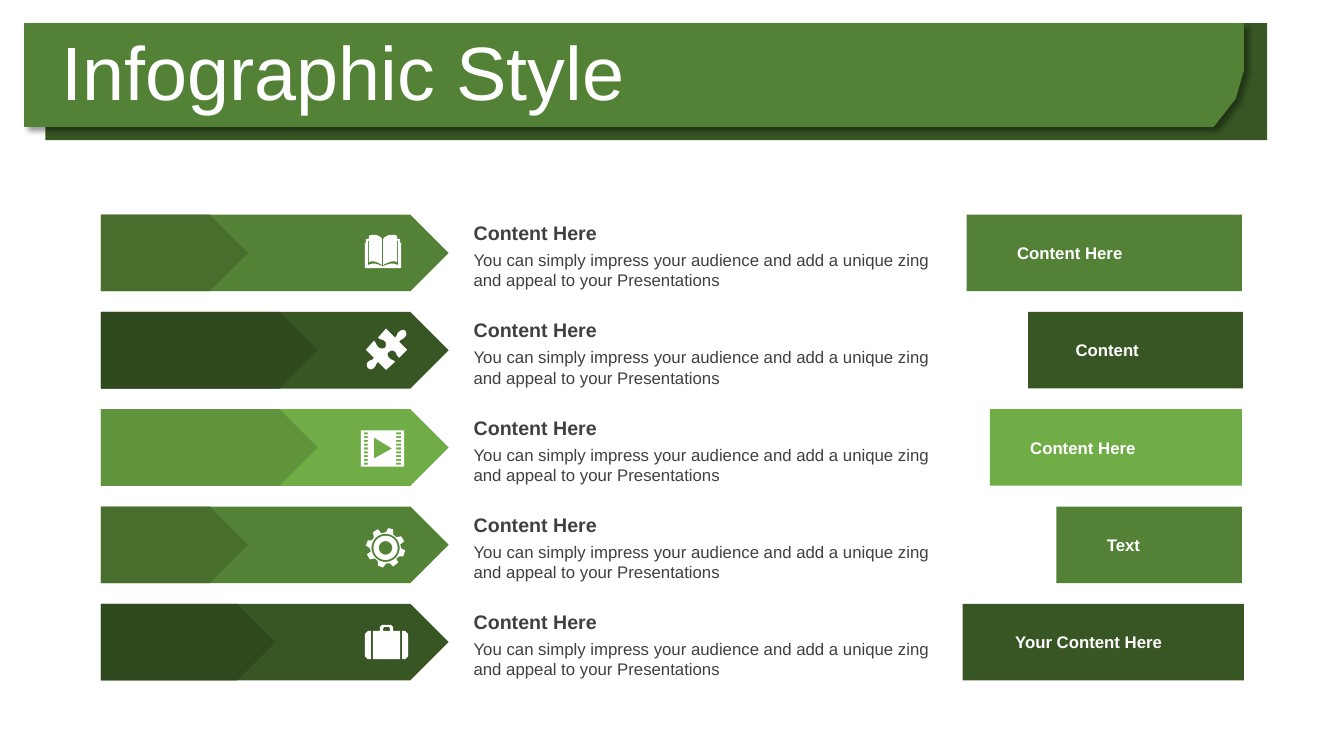
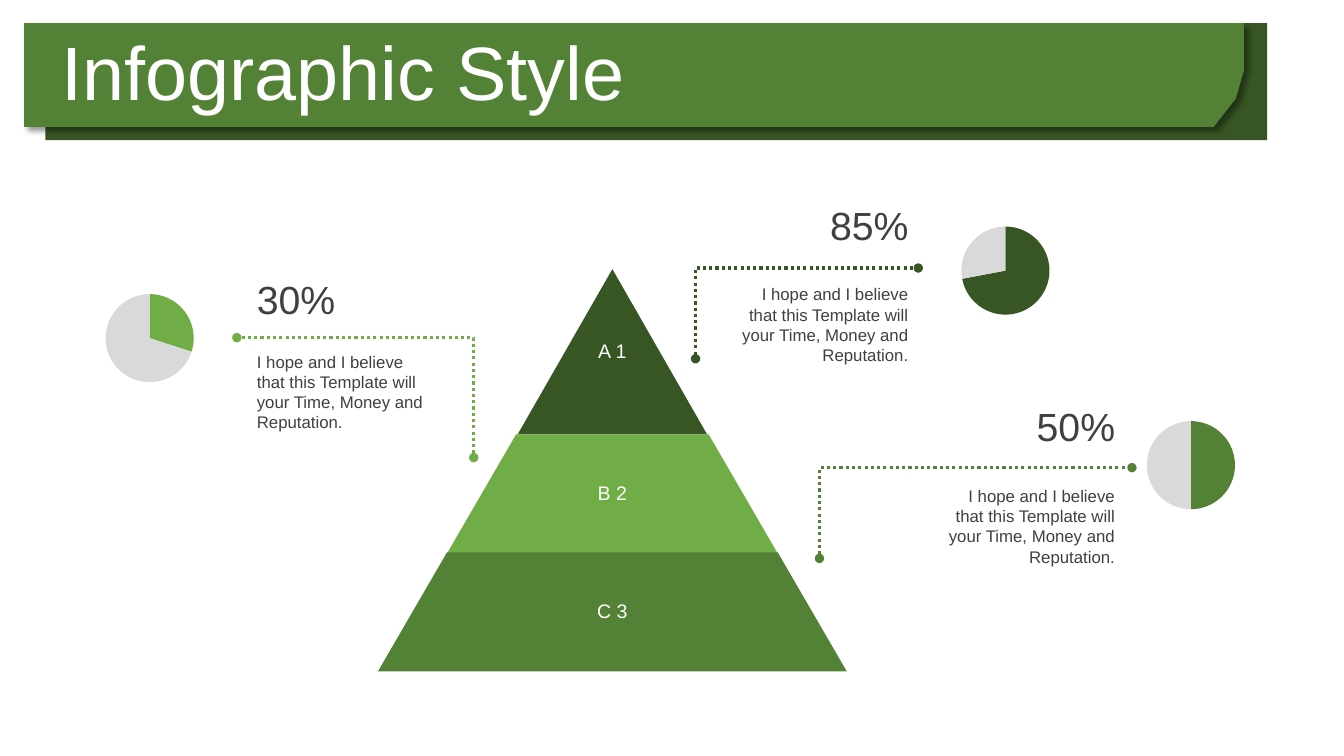
import math

import pptx
import pptx.chart.data
import pptx.dml.color
import pptx.enum.chart
import pptx.enum.dml
import pptx.enum.shapes
import pptx.enum.text
import pptx.oxml
import pptx.oxml.ns
import pptx.util

SHAPE = pptx.enum.shapes.MSO_SHAPE
ALIGN = pptx.enum.text.PP_ALIGN
ANCHOR = pptx.enum.text.MSO_ANCHOR
RGB = pptx.dml.color.RGBColor.from_string
Pt = pptx.util.Pt
CELL = pptx.util.Inches(0.1)  # every length below counts cells of this square grid
DRAWING = pptx.oxml.ns.nsdecls("a")


class Theme:
    font = "Arial"
    dark, middle, light = "375623", "538135", "70AD47"
    shade = {dark: "2F491E", middle: "476E2D", light: "5F933C"}
    white, ink, rest = "FFFFFF", "404040", "D9D9D9"
    title = {"size": Pt(54), "bold": False}
    heading = {"size": Pt(14), "bold": True}
    level = {"size": Pt(14), "bold": False}
    label = {"size": Pt(12), "bold": True}
    body = {"size": Pt(12), "bold": False}
    share = {"size": Pt(28), "bold": False}


def draw(slide, kind, colour, *cells):
    """Add a flat shape, or a text box when kind is None."""
    box = [round(CELL * value) for value in cells]
    if kind is None:
        return slide.shapes.add_textbox(*box)
    shape = slide.shapes.add_shape(kind, *box)
    shape.shadow.inherit = False
    shape.fill.solid()
    shape.fill.fore_color.rgb = RGB(colour)
    shape.line.fill.background()
    return shape


def write(shape, text, style, colour, align=ALIGN.LEFT, spacing=None, **frame_format):
    frame = shape.text_frame
    defaults = {"word_wrap": True, "vertical_anchor": ANCHOR.MIDDLE,
                "auto_size": pptx.enum.text.MSO_AUTO_SIZE.NONE}
    for name, value in (defaults | frame_format).items():
        setattr(frame, name, value)
    paragraph = frame.paragraphs[0]
    paragraph.alignment = align
    paragraph.line_spacing = spacing
    run = paragraph.add_run()
    run.text = text
    for name, value in (style | {"name": Theme.font}).items():
        setattr(run.font, name, value)
    run.font.color.rgb = RGB(colour)


presentation = pptx.Presentation()
presentation.slide_width = round(CELL * 133.33)
presentation.slide_height = CELL * 75
layout = presentation.slide_layouts.get_by_name("Title Only")
slides = [presentation.slides.add_slide(layout) for _ in range(2)]
list_slide, pyramid_slide = slides

# Title bands, moved to the layout so that both slides share them
back_band = draw(list_slide, SHAPE.RECTANGLE, Theme.dark, 4.5, 2.3, 121.2, 11.6)
outline = [(2.4, 2.3), (123.4, 2.3), (123.4, 7), (122.6, 9.8), (120.4, 12.6), (2.4, 12.6)]
points = [(round(CELL * x), round(CELL * y)) for x, y in outline]
builder = list_slide.shapes.build_freeform(*points[0])
builder.add_line_segments(points[1:], close=True)
front_band = builder.convert_to_shape()
front_band.fill.solid()
front_band.fill.fore_color.rgb = RGB(Theme.middle)
front_band.line.fill.background()
front_band.shadow.inherit = False
front_band._element.spPr.find(pptx.oxml.ns.qn("a:effectLst")).append(pptx.oxml.parse_xml(
    f'<a:outerShdw {DRAWING} blurRad="{Pt(4)}" dist="{Pt(3)}" dir="2700000" algn="tl">'
    '<a:srgbClr val="000000"><a:alpha val="40000"/></a:srgbClr></a:outerShdw>'))
for position, band in enumerate((back_band, front_band), start=2):
    layout.shapes._spTree.insert(position, band._element)

# Titles
for slide in slides:
    title = slide.shapes.title
    for name, value in {"left": 5.1, "top": 3.6, "width": 109.8, "height": 7.9}.items():
        setattr(title, name, round(CELL * value))
    write(title, "Infographic Style", Theme.title, Theme.white, spacing=0.9)

# List rows: arrow, shaded arrow, texts and label block
rows = [  # colour, shaded width, block left, block width, label indent, label
    (Theme.middle, 14.6, 95.9, 27.3, 5, "Content Here"),
    (Theme.dark, 21.5, 102, 21.3, 4.7, "Content"),
    (Theme.light, 21.5, 98.2, 25, 4, "Content Here"),
    (Theme.middle, 14.6, 104.8, 18.4, 5, "Text"),
    (Theme.dark, 17.3, 95.5, 27.9, 5.2, "Your Content Here"),
]
ROW_TOP, ROW_STEP, ROW_HEIGHT = 21.3, 9.65, 7.6
for index, (colour, shaded, left, width, indent, label) in enumerate(rows):
    top = ROW_TOP + index * ROW_STEP
    draw(list_slide, SHAPE.PENTAGON, colour, 10, top, 34.5, ROW_HEIGHT)
    draw(list_slide, SHAPE.PENTAGON, Theme.shade[colour], 10, top, shaded, ROW_HEIGHT)
    write(draw(list_slide, None, None, 46, top + 0.1, 49.5, 3.4),
          "Content Here", Theme.heading, Theme.ink)
    write(draw(list_slide, None, None, 46, top + 3, 49.5, 5),
          "You can simply impress your audience and add a unique zing "
          "and appeal to your Presentations",
          Theme.body, Theme.ink, vertical_anchor=ANCHOR.TOP)
    write(draw(list_slide, SHAPE.RECTANGLE, colour, left, top, width, ROW_HEIGHT),
          label, Theme.label, Theme.white, margin_left=round(CELL * indent))

# Icon contours in tenths of a cell: pairs are corners, sixes are cubic curves
book = [[
    (17, 31), (18, 31), (24, 29, 27, 27, 33, 30), (33, 6), (32, 6), (32, 27),
    (28, 25, 23, 27, 18, 30), (18, 4), (21, 1, 23, 0, 27, 0), (28, 0, 30, 0, 32, 1),
    (32, 4), (35, 4), (35, 8), (36, 8), (36, 33), (0, 33), (0, 8), (1, 8), (1, 4), (4, 4),
    (4, 1), (6, 0, 8, 0, 9, 0), (12, 0, 15, 1, 17, 4), (17, 30),
    (13, 27, 8, 25, 4, 27), (4, 6), (3, 6), (3, 30), (9, 27, 12, 29, 17, 31)]]
puzzle = [[
    (39, 2), (40, 4, 41, 6, 39, 8), (37, 11, 35, 10, 33, 13), (41, 21), (33, 29),
    (30, 27, 31, 25, 29, 23), (27, 21, 24, 22, 23, 23), (21, 24, 21, 27, 23, 29),
    (26, 32, 26, 30, 29, 33), (20, 41), (12, 33), (9, 36, 11, 36, 8, 39),
    (6, 41, 3, 41, 2, 39), (1, 38, 0, 35, 2, 33), (4, 31, 6, 32, 8, 29), (0, 21), (8, 12),
    (11, 15, 10, 17, 13, 19), (15, 20, 17, 20, 19, 19), (20, 17, 21, 14, 18, 12),
    (16, 10, 15, 12, 12, 9), (20, 0), (29, 9), (32, 6, 30, 5, 33, 3), (35, 1, 38, 1, 39, 2)]]
film = [[(0, 0), (43, 0), (43, 36), (0, 36)], [(13, 7), (13, 28), (31, 18)]]
for left, right in ((3, 7), (35, 40)):
    for hole in range(9):
        top = 2 + 3.75 * hole
        film.append([(left, top), (left, top + 2), (right, top + 2), (right, top)])
gear = [[
    (27, 1), (27, 6), (30, 9), (35, 8), (38, 13), (34, 16), (35, 20), (39, 22),
    (37, 28), (33, 28), (30, 30), (32, 34), (27, 38), (24, 35), (20, 35), (17, 39),
    (12, 37), (12, 33), (9, 30), (4, 31), (1, 26), (5, 23), (4, 20), (0, 17),
    (2, 12), (6, 12), (8, 9), (7, 4), (12, 1), (15, 5), (20, 4), (22, 0)]]
for radius in (14, 12, 6.7):
    gear.append([(19.5 + radius * math.cos(math.tau * step / 36),
                  19.5 + radius * math.sin(math.tau * step / 36)) for step in range(36)])
case_side = [(6, 6), (3, 6), (0, 9), (0, 31), (3, 34), (6, 34)]
case = [
    case_side, [(43 - x, y) for x, y in case_side],
    [(17, 0), (26, 0), (28, 2), (28, 6), (35, 6), (35, 34), (8, 34), (8, 6), (15, 6), (15, 2)],
    [(19, 2), (24, 2), (25, 4), (25, 6), (18, 6), (18, 4)]]

# Icons
icons = [(book, 36.2, 23.3), (puzzle, 36.3, 32.6), (film, 35.8, 42.7),
         (gear, 36.3, 52.4), (case, 36.2, 62)]
for contours, left, top in icons:
    builder = None
    for contour in contours:
        flat = []
        for node in contour:
            if len(node) == 2:
                flat.append(node)
                continue
            controls = [flat[-1], node[:2], node[2:4], node[4:]]
            for t in (0.25, 0.5, 0.75, 1):
                weights = ((1 - t) ** 3, 3 * t * (1 - t) ** 2, 3 * t * t * (1 - t), t ** 3)
                flat.append(tuple(sum(weight * control[axis] for weight, control
                                      in zip(weights, controls)) for axis in (0, 1)))
        points = [(round(CELL * (left + x / 10)), round(CELL * (top + y / 10)))
                  for x, y in flat]
        if builder is None:
            builder = list_slide.shapes.build_freeform(*points[0])
        else:
            builder.move_to(*points[0])
        builder.add_line_segments(points[1:], close=True)
    icon = builder.convert_to_shape()
    icon.shadow.inherit = False
    icon.fill.solid()
    icon.fill.fore_color.rgb = RGB(Theme.white)
    icon.line.fill.background()

# Pyramid, centred on one axis
PYRAMID_AXIS = 60.75
levels = [("A 1", Theme.dark, 26.7, 18.8, 16.4), ("B 2", Theme.light, 43.1, 32.8, 11.8),
          ("C 3", Theme.middle, 54.8, 46.5, 11.8)]
for label, colour, top, width, height in levels:
    box = (PYRAMID_AXIS - width / 2, top, width, height)
    draw(pyramid_slide, SHAPE.TRAPEZOID, colour, *box).adjustments[0] = 0.58
    write(draw(pyramid_slide, None, None, *box), label, Theme.level, Theme.white,
          ALIGN.CENTER, 0.9)

# Callouts: pie, dotted elbow line, share and text
callouts = [  # colour, share, pie values, pie place, line ends, text left, share top, text top
    (Theme.dark, "85%", (72, 28), (91.1, 21.1), (69, 35.6, 91.1, 26.6),
     72.2, 19.5, 27.7, ALIGN.RIGHT),
    (Theme.middle, "50%", (50, 50), (109.5, 40.4), (81.3, 55.4, 112.3, 46.4),
     92.7, 39.4, 47.7, ALIGN.RIGHT),
    (Theme.light, "30%", (30, 70), (6.2, 27.8), (47, 45.4, 23.5, 33.5),
     24.5, 26.8, 34.4, ALIGN.LEFT),
]
for colour, share, values, place, ends, left, share_top, text_top, align in callouts:
    data = pptx.chart.data.CategoryChartData()
    data.categories = ["1", "2"]
    data.add_series("Series 1", values)
    chart = pyramid_slide.shapes.add_chart(
        pptx.enum.chart.XL_CHART_TYPE.PIE,
        *[round(CELL * value) for value in (*place, 17.3, 11.5)], data).chart
    chart.has_title = chart.has_legend = False
    chart.font.name, chart.font.size = Theme.font, Pt(18)
    plot = chart.plots[0]
    plot.vary_by_categories = True
    for index, slice_colour in enumerate((colour, Theme.rest)):
        slice_format = plot.series[0].points[index].format
        slice_format.fill.solid()
        slice_format.fill.fore_color.rgb = RGB(slice_colour)
        slice_format.line.fill.background()

    connector = pyramid_slide.shapes.add_connector(
        pptx.enum.shapes.MSO_CONNECTOR.ELBOW, *[round(CELL * value) for value in ends])
    connector.line.color.rgb = RGB(colour)
    connector.line.width = Pt(2.25)
    connector.line.dash_style = pptx.enum.dml.MSO_LINE.ROUND_DOT
    for end in ("headEnd", "tailEnd"):
        connector.line._get_or_add_ln().append(
            pptx.oxml.parse_xml(f'<a:{end} {DRAWING} type="oval"/>'))
    properties = connector._element.spPr
    properties.append(pptx.oxml.parse_xml(f"<a:effectLst {DRAWING}/>"))
    properties.prstGeom.get_or_add_avLst().append(
        pptx.oxml.parse_xml(f'<a:gd {DRAWING} name="adj1" fmla="val 0"/>'))

    write(draw(pyramid_slide, None, None, left, share_top, 18.9, 5.7),
          share, Theme.share, Theme.ink, align)
    write(draw(pyramid_slide, None, None, left, text_top, 18.9, 9.1),
          "I hope and I believe that this Template will your Time, Money and Reputation.",
          Theme.body, Theme.ink, align, vertical_anchor=ANCHOR.TOP)

presentation.save("out.pptx")
